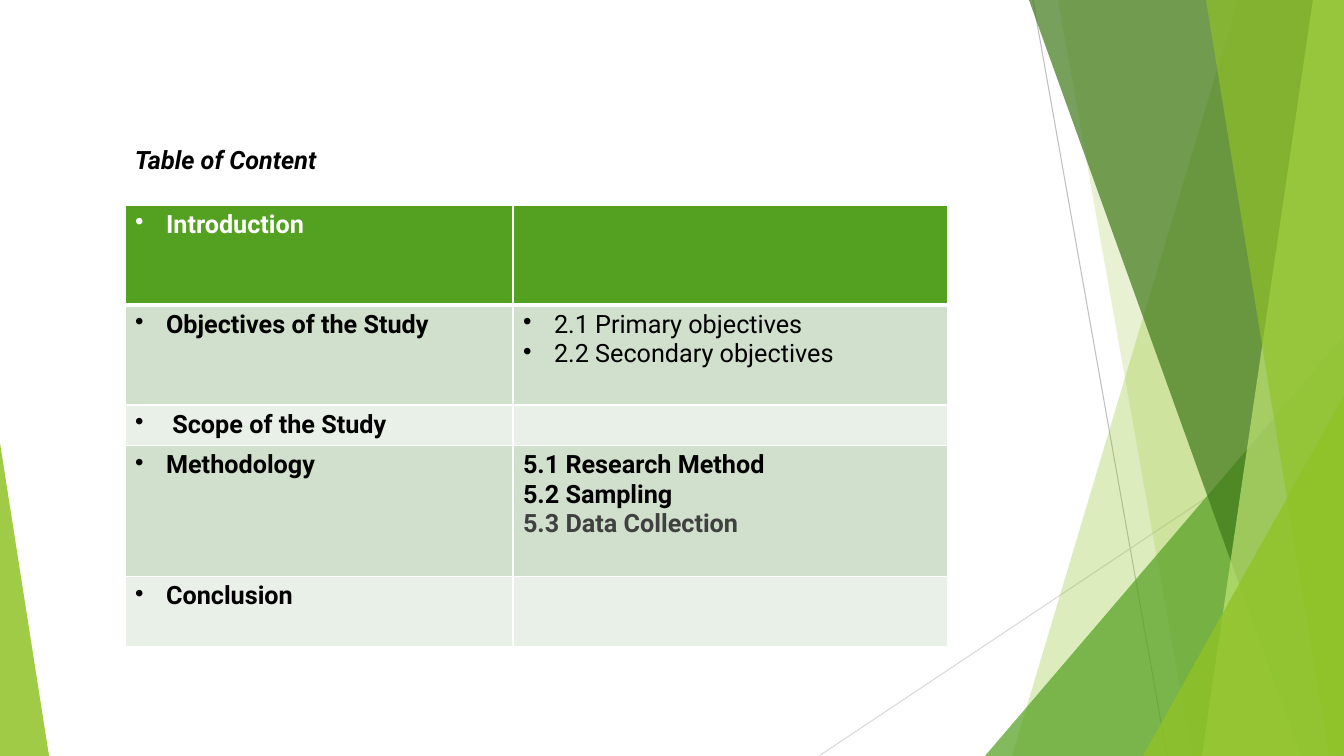
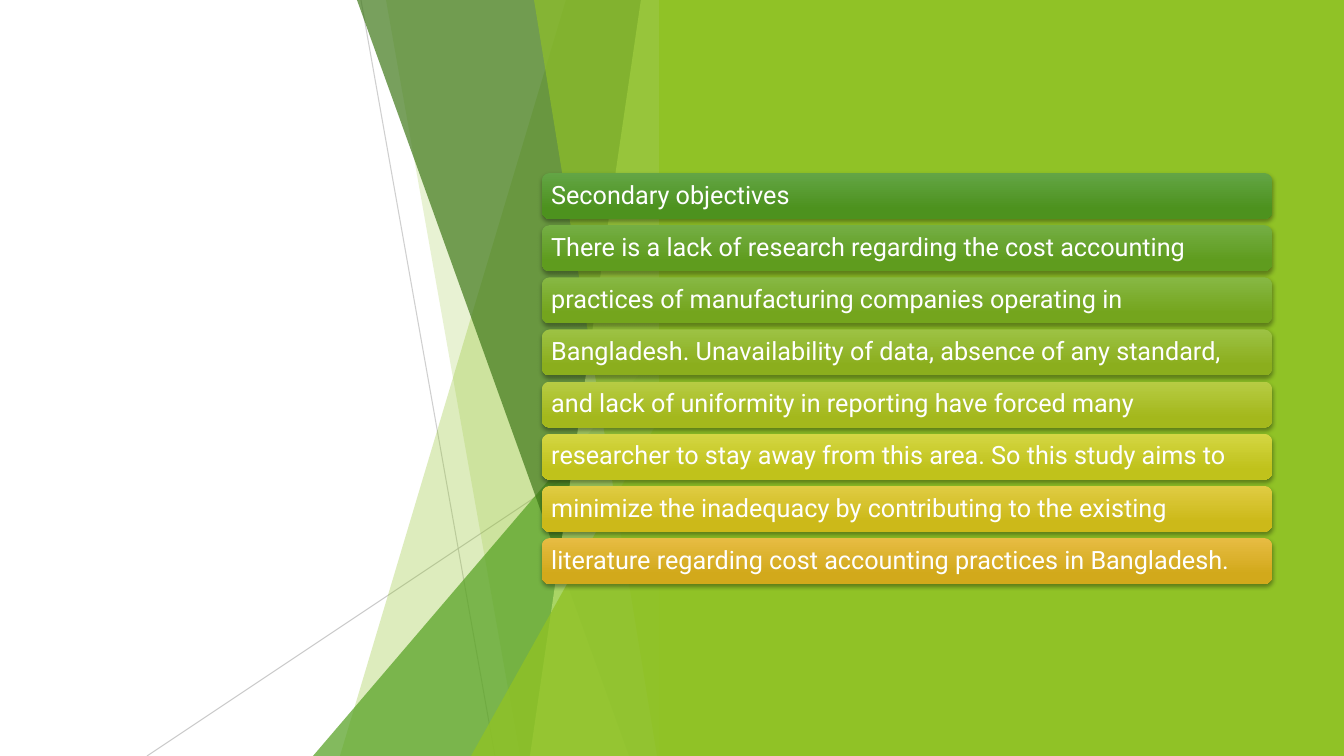
"""Build a table of contents slide and a secondary objectives slide."""
from lxml.etree import SubElement
from pptx import Presentation
from pptx.dml.color import RGBColor
from pptx.enum.shapes import MSO_CONNECTOR, MSO_SHAPE
from pptx.enum.text import MSO_ANCHOR, PP_ALIGN
from pptx.oxml.ns import qn
from pptx.util import Emu, Pt

W, H = 1344, 756
SCALE = 914400 / 100.8

THEME = {
    "font": "Roboto", "size": 18, "hairline": 0.75, "border": 1, "header_border": 3,
    "lime": "90C226", "green": "54A021", "forest": "3F7819", "pale": "C0E474",
    "band": "D1DFCD", "light_band": "E9F0E8", "rule": "BFBFBF", "light_rule": "D9D9D9",
    "white": "FFFFFF", "black": "000000", "gray": "404040",
}

RAYS = [((1033, 0), (1167, H)), ((W, 406), (819, H))]
FAN = [
    ("blade", 1238, 1012, "lime", 30),
    ("blade", 1058, 1192, "lime", 20),
    ("wedge", 985, 336, "green", 72),
    ("blade", 1029, 1301, "forest", 70),
    ("blade", 1313, 1202, "pale", 70),
    ("blade", 1206, 1329, "lime", 65),
    ("wedge", 1143, 396, "lime", 80),
]

TITLE = "Table of Content"
BOLD, BULLET = {"bold": True}, {"bullet": True}
TOPIC = BOLD | BULLET
CONTENTS = [
    (100, "green", [("Introduction", TOPIC | {"color": "white"})], []),
    (100, "band", [("Objectives of the Study", TOPIC)],
     [("2.1 Primary objectives", BULLET), ("2.2 Secondary objectives", BULLET)]),
    (40, "light_band", [(" Scope of the Study", TOPIC)], []),
    (131, "band", [("Methodology", TOPIC)],
     [("5.1 Research Method", BOLD), ("5.2 Sampling", BOLD),
      ("5.3 Data Collection", BOLD | {"color": "gray"})]),
    (70, "light_band", [("Conclusion", TOPIC)], []),
]
TABLE_X, TABLE_Y, COLUMNS, INDENT = 125, 205, (388, 435), 31

BARS = [
    ("Secondary objectives", "63A545", "4D921E"),
    ("There is a lack of research regarding the cost accounting", "74AE44", "5F9C1E"),
    ("practices of manufacturing companies operating in", "87B844", "74A51D"),
    ("Bangladesh. Unavailability of data, absence of any standard,", "9DC244", "8BAE1D"),
    ("and lack of uniformity in reporting have forced many", "B7CC44", "A4B81C"),
    ("researcher to stay away from this area. So this study aims to", "D4D643", "C0C21B"),
    ("minimize the inadequacy by contributing to the existing", "E0CC43", "CCB919"),
    ("literature regarding cost accounting practices in Bangladesh.", "E7BC43", "D2A91B"),
]
BAR_X, BAR_W, BAR_H, FIRST_BAR, LAST_BAR = 542, 730, 46, 173, 538


def px(n):
    return Emu(round(n * SCALE))


def box(*lengths):
    return [px(n) for n in lengths]


def rgb(name):
    return RGBColor.from_string(THEME.get(name, name))


def set_attrs(obj, fmt):
    for name, value in fmt.items():
        setattr(obj, name, value)


def fade(s, alpha):
    for color in s._element.spPr.iter(qn("a:srgbClr")):
        SubElement(color, qn("a:alpha"), val=str(alpha * 1000))


def plain(s, color, alpha=100):
    s.shadow.inherit = False
    s.fill.solid()
    s.fill.fore_color.rgb = rgb(color)
    s.line.fill.background()
    if alpha < 100:
        fade(s, alpha)
    return s


def write(p, text, color="black", bullet=False, **fmt):
    if bullet:
        pPr = p._p.get_or_add_pPr()
        pPr.set("marL", str(px(INDENT)))
        pPr.set("indent", str(-px(INDENT)))
        SubElement(pPr, qn("a:buChar"), char="•")
    r = p.add_run()
    r.text = text
    base = {"name": THEME["font"], "size": Pt(THEME["size"]), "bold": False}
    set_attrs(r.font, base | fmt)
    r.font.color.rgb = rgb(color)


def add_wedge(shapes, x, y, w, h, apex, color, alpha):
    sp = shapes.add_shape(MSO_SHAPE.ISOSCELES_TRIANGLE, *box(x, y, w, h))
    sp.adjustments[0] = apex
    plain(sp, color, alpha)


def add_fan(shapes, dx, ray_styles):
    right = W + dx
    for ((x1, y1), (x2, y2)), (color, alpha) in zip(RAYS, ray_styles):
        ray = shapes.add_connector(MSO_CONNECTOR.STRAIGHT, *box(x1 + dx, y1, x2 + dx, y2))
        ray.line.width = Pt(THEME["hairline"])
        ray.line.color.rgb = rgb(color)
        SubElement(ray._element.spPr, qn("a:effectLst"))
        if alpha < 100:
            fade(ray, alpha)
    for kind, a, b, color, alpha in FAN:
        x = a + dx
        if kind == "wedge":
            add_wedge(shapes, x, b, right - x, H - b, 1, color, alpha)
        else:
            outline = shapes.build_freeform(x, 0, scale=SCALE)
            outline.add_line_segments([(right, 0), (right, H), (b + dx, H)], close=True)
            plain(outline.convert_to_shape(), color, alpha)


def set_borders(cell, widths):
    tcPr = cell._tc.get_or_add_tcPr()
    for i, (side, width) in enumerate(widths.items()):
        ln = SubElement(tcPr, qn(f"a:ln{side}"), w=str(Pt(width)))
        fill = SubElement(ln, qn("a:solidFill"))
        SubElement(fill, qn("a:srgbClr"), val=THEME["white"])
        tcPr.insert(i, ln)


def add_contents(shapes):
    height = sum(row[0] for row in CONTENTS)
    frame = shapes.add_table(len(CONTENTS), len(COLUMNS),
                             *box(TABLE_X, TABLE_Y, sum(COLUMNS), height))
    table = frame.table
    set_attrs(table, {"first_row": False, "horz_banding": False})
    for column, width in zip(table.columns, COLUMNS):
        column.width = px(width)
    thin, thick = THEME["border"], THEME["header_border"]
    for i, (row_h, color, *columns) in enumerate(CONTENTS):
        table.rows[i].height = px(row_h)
        widths = {"L": thin, "R": thin, "T": thick if i == 1 else thin,
                  "B": thick if i == 0 else thin}
        for cell, lines in zip(table.rows[i].cells, columns):
            cell.fill.solid()
            cell.fill.fore_color.rgb = rgb(color)
            set_borders(cell, widths)
            tf = cell.text_frame
            for j, (text, fmt) in enumerate(lines):
                write(tf.add_paragraph() if j else tf.paragraphs[0], text, **fmt)


def add_bar(shapes, y, text, top, bottom):
    sp = plain(shapes.add_shape(MSO_SHAPE.ROUNDED_RECTANGLE,
                                *box(BAR_X, y, BAR_W, BAR_H)), top)
    sp.fill.gradient()
    sp.fill.gradient_angle = 270
    for stop, position, color in zip(sp.fill.gradient_stops, (0, 0.78), (top, bottom)):
        stop.position = position
        stop.color.rgb = rgb(color)
    shadow = SubElement(sp._element.spPr.find(qn("a:effectLst")), qn("a:outerShdw"),
                        blurRad=str(Pt(3)), dist=str(Pt(2)), dir="5400000", rotWithShape="0")
    color = SubElement(shadow, qn("a:srgbClr"), val=THEME["black"])
    SubElement(color, qn("a:alpha"), val="35000")
    tf = sp.text_frame
    sides = ("left", "top", "right", "bottom")
    set_attrs(tf, {f"margin_{side}": px(7) for side in sides})
    set_attrs(tf, {"word_wrap": True, "vertical_anchor": MSO_ANCHOR.MIDDLE})
    p = tf.paragraphs[0]
    set_attrs(p, {"alignment": PP_ALIGN.LEFT, "line_spacing": 0.9})
    write(p, text, "white")


def build_contents(s):
    add_fan(s.shapes, 0, [("rule", 100), ("light_rule", 100)])
    add_wedge(s.shapes, 0, 443, 49, H - 443, 0, "lime", 85)
    tf = s.shapes.add_textbox(*box(TABLE_X, 139, 410, 40)).text_frame
    tf.word_wrap = True
    write(tf.paragraphs[0], TITLE, bold=True, italic=True)
    add_contents(s.shapes)


def build_objectives(s):
    add_fan(s.shapes, -W // 2, [("rule", 75), ("rule", 80)])
    panel_x = 659
    plain(s.shapes.add_shape(MSO_SHAPE.RECTANGLE, *box(panel_x, 0, W - panel_x, H)), "lime")
    pitch = (LAST_BAR - FIRST_BAR) / (len(BARS) - 1)
    for i, bar in enumerate(BARS):
        add_bar(s.shapes, FIRST_BAR + i * pitch, *bar)


def main():
    prs = Presentation()
    set_attrs(prs, {"slide_width": px(W), "slide_height": px(H)})
    for build in (build_contents, build_objectives):
        build(prs.slides.add_slide(prs.slide_layouts[6]))
    prs.save("out.pptx")


if __name__ == "__main__":
    main()
